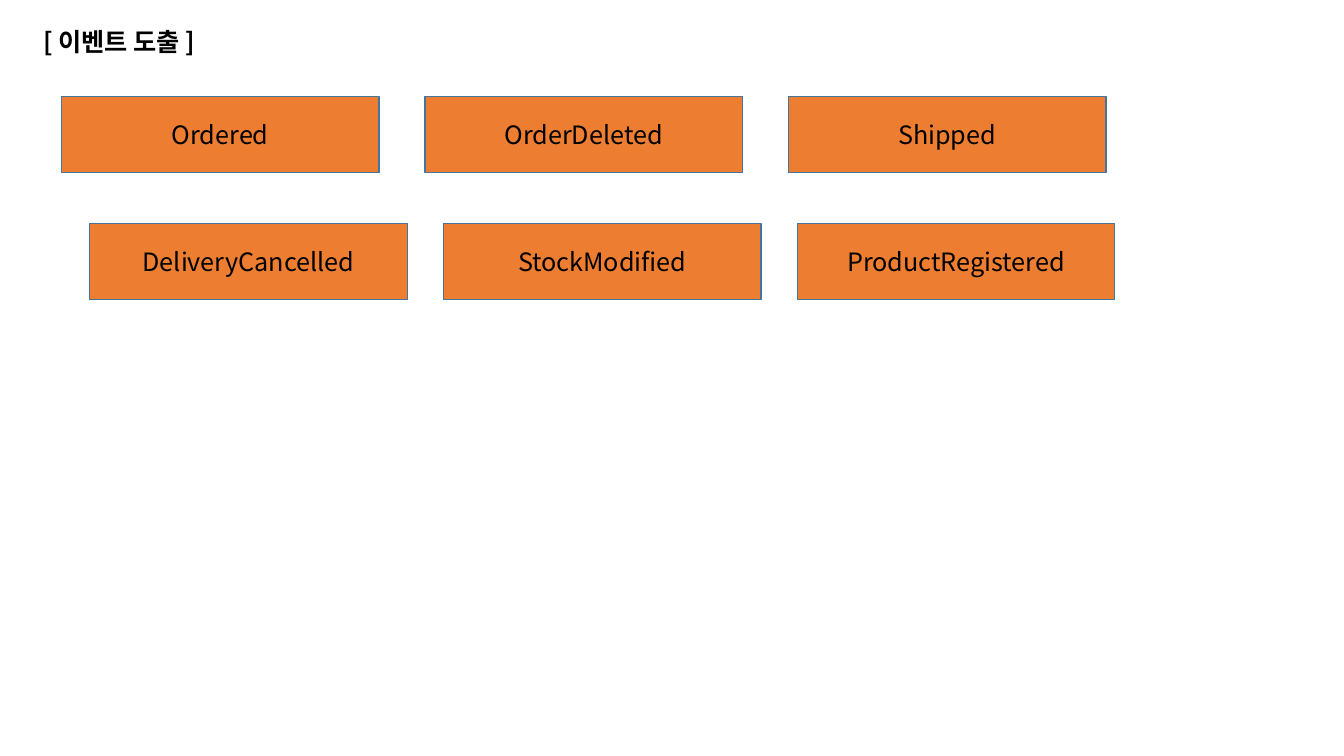
"""Builds a slide of derived domain events, shown as two rows of boxes."""
import lxml.etree
import pptx
import pptx.dml.color
import pptx.enum.shapes
import pptx.enum.text
import pptx.oxml.ns
import pptx.util

Pt = pptx.util.Pt
ORANGE = pptx.dml.color.RGBColor(0xED, 0x7D, 0x31)
BLUE = pptx.dml.color.RGBColor(0x43, 0x73, 0x9E)
BLACK = pptx.dml.color.RGBColor(0x00, 0x00, 0x00)

EVENT_ROWS = [
    (43.9, 69.1, 259.6, ["Ordered", "OrderDeleted", "Shipped"]),
    (64.1, 159.8, 252.7, ["DeliveryCancelled", "StockModified", "ProductRegistered"]),
]


class EventSlide:
    font_name = "Noto Sans CJK KR"
    font_size = 18
    event_width = 226.8
    event_height = 54

    def __init__(self, page):
        self.page = page

    def set_label(self, box, text, bold=False):
        box.text_frame.text = text
        para = box.text_frame.paragraphs[0]
        span = para.runs[0]
        span.font.size = Pt(self.font_size)
        span.font.bold = bold
        span.font.color.rgb = BLACK
        span.font.name = self.font_name
        properties = span._r.get_or_add_rPr()
        east_asian = lxml.etree.SubElement(properties, pptx.oxml.ns.qn("a:ea"))
        east_asian.set("typeface", self.font_name)
        return para

    def title(self, text, left, top, width, height):
        box = self.page.shapes.add_textbox(Pt(left), Pt(top), Pt(width), Pt(height))
        box.text_frame.word_wrap = True
        box.text_frame.auto_size = pptx.enum.text.MSO_AUTO_SIZE.SHAPE_TO_FIT_TEXT
        self.set_label(box, text, bold=True)

    def event(self, text, left, top):
        box = self.page.shapes.add_shape(
            pptx.enum.shapes.MSO_SHAPE.RECTANGLE,
            Pt(left), Pt(top), Pt(self.event_width), Pt(self.event_height),
        )
        box.shadow.inherit = False
        box.fill.solid()
        box.fill.fore_color.rgb = ORANGE
        box.line.color.rgb = BLUE
        box.line.width = Pt(1)
        box.text_frame.word_wrap = True
        box.text_frame.vertical_anchor = pptx.enum.text.MSO_ANCHOR.MIDDLE
        para = self.set_label(box, text)
        para.alignment = pptx.enum.text.PP_ALIGN.CENTER


def main():
    deck = pptx.Presentation()
    deck.slide_width = Pt(960)
    deck.slide_height = Pt(540)
    slide = EventSlide(deck.slides.add_slide(deck.slide_layouts[6]))
    for left, top, pitch, names in EVENT_ROWS:
        for column, name in enumerate(names):
            slide.event(name, left + column * pitch, top)
    slide.title("[ 이벤트 도출 ]", 23.8, 15.1, 257, 29.5)
    deck.save("out.pptx")


if __name__ == "__main__":
    main()
